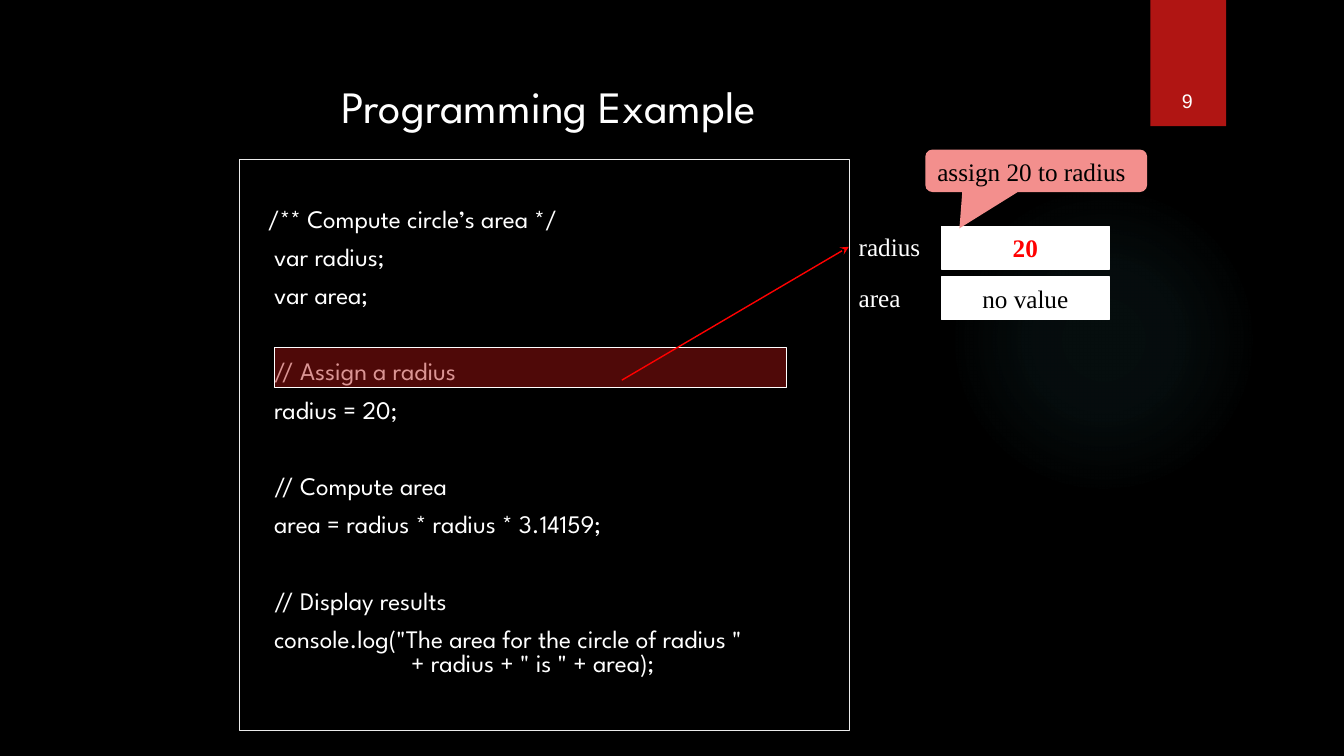
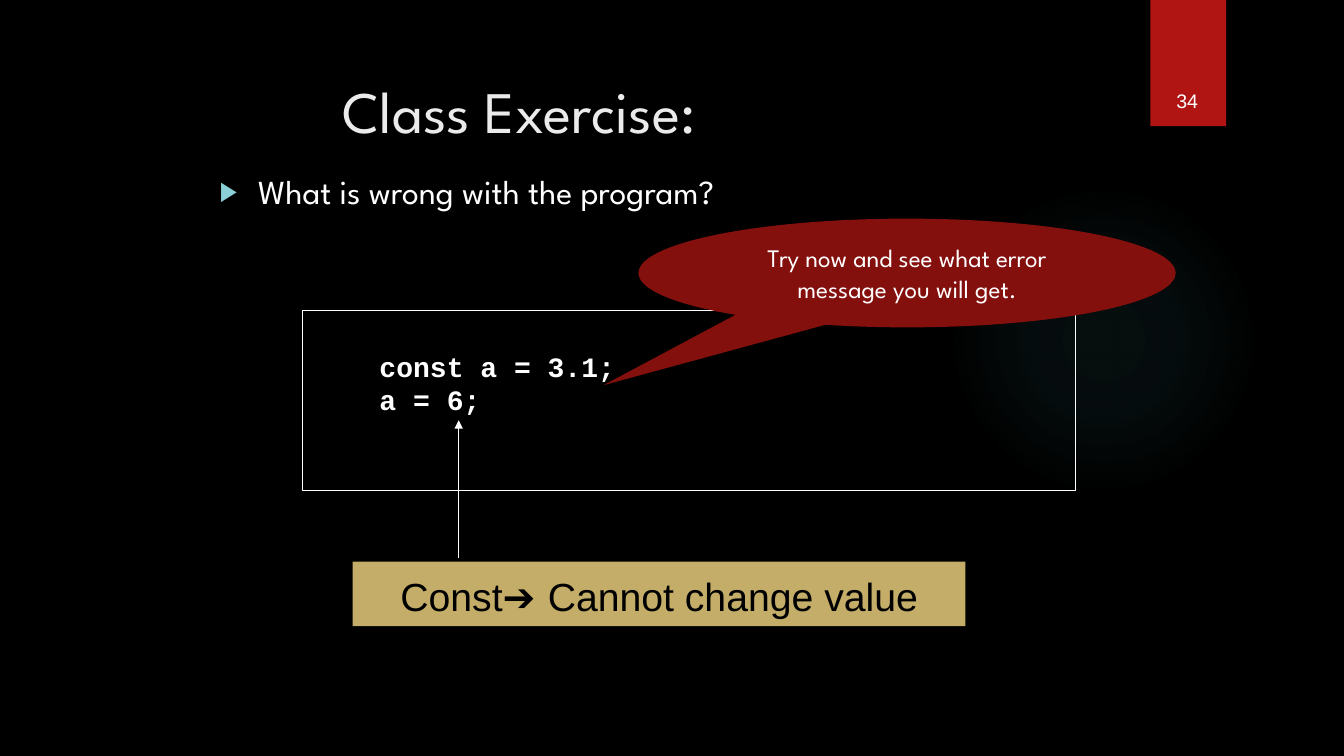
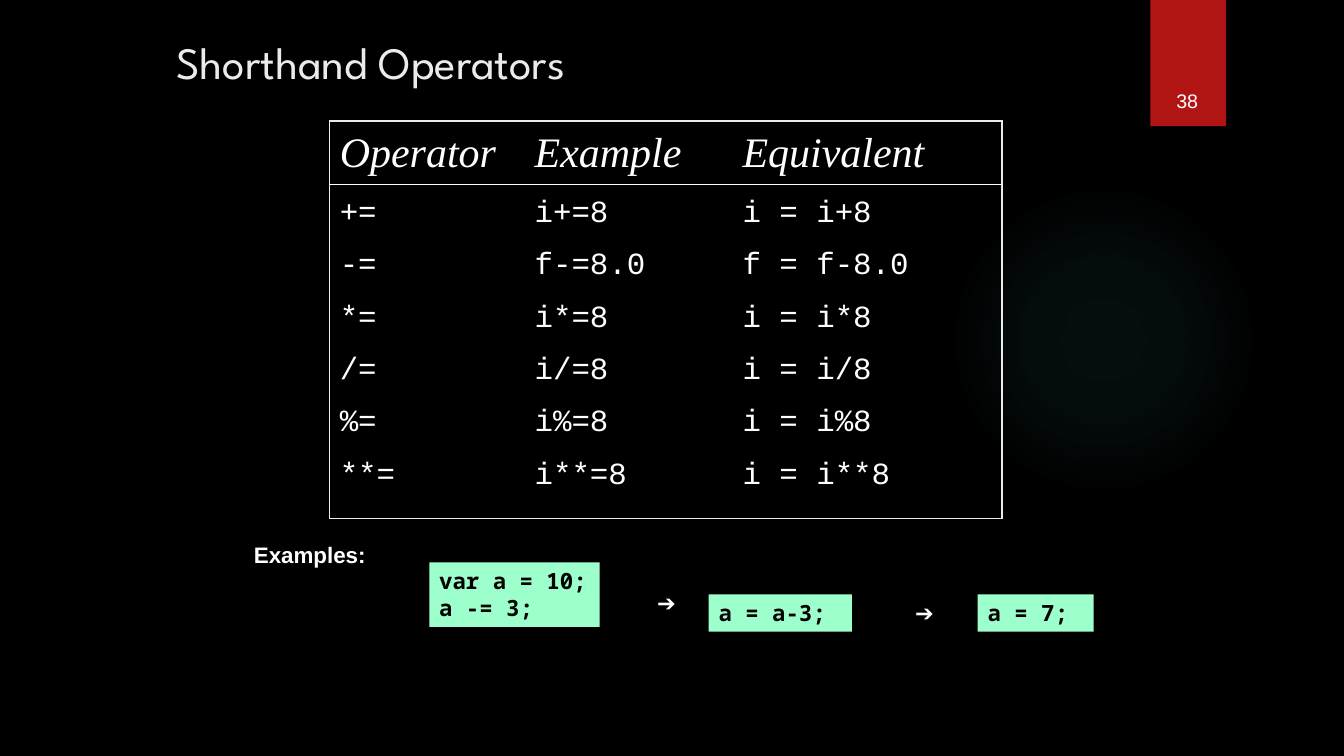
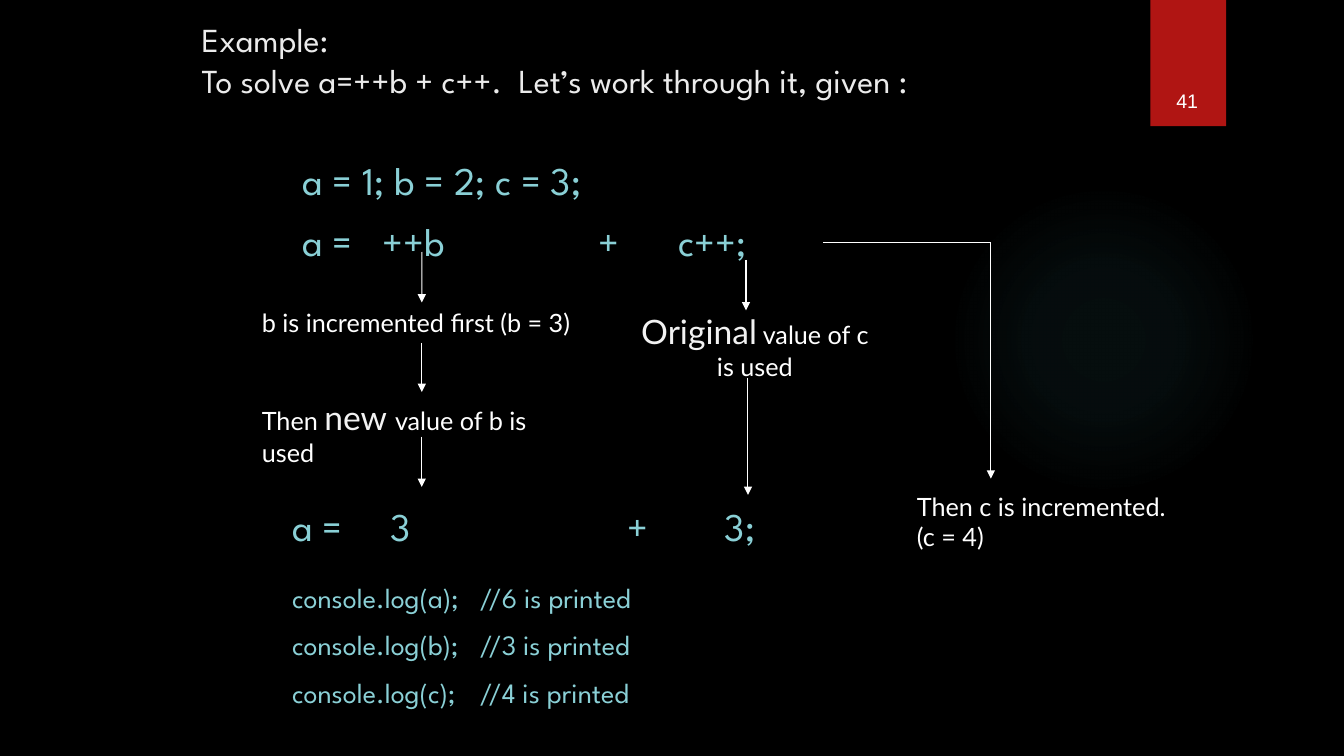
from lxml import etree
from pptx import Presentation, util as u
from pptx.dml.color import RGBColor
from pptx.enum import shapes as kinds, text as t
from pptx.oxml import parse_xml
from pptx.oxml.ns import nsdecls, qn

Cm, Pt = u.Cm, u.Pt
Shape = kinds.MSO_SHAPE
TOP, MIDDLE, BOTTOM = t.MSO_ANCHOR.TOP, t.MSO_ANCHOR.MIDDLE, t.MSO_ANCHOR.BOTTOM
LEFT, CENTER = t.PP_ALIGN.LEFT, t.PP_ALIGN.CENTER

WHITE, BLACK, PALE, SOFT = "FFFFFF", "000000", "EBEBEB", "F2F2F2"
RED, BRIGHT_RED, DARK_RED, PINK = "B01513", "FF0000", "84100E", "F38F8D"
AQUA, GLOW, MINT, GOLD = "8AD0D6", "50B9C1", "9DFFCB", "F0D47F"
HEADING, SERIF, SANS = "League Spartan", "Times New Roman", "Arial"
HUMAN, CODE, MONO = "Lato", "Courier New", "Noto Sans Mono"


# ---- Shared helpers ----
def color(value):
    return RGBColor.from_string(value)


def lengths(values):
    return [Cm(value) for value in values]


def child(parent, tag, **attributes):
    return etree.SubElement(parent, qn(tag), attributes)


def style_font(font, name=None, size=None, ink=None, bold=None, italic=None):
    if name:
        font.name = name
    if size:
        font.size = Pt(size)
    if ink:
        font.color.rgb = color(ink)
    font.bold, font.italic = bold, italic


def write(frame, lines, name, size, ink, align=LEFT, anchor=TOP, wrap=True,
          before=0, spacing=None, bullet=None, **style):
    """Fill a text frame; a line is a string or a list of (text, size, ink) spans."""
    frame.word_wrap = wrap
    frame.auto_size = t.MSO_AUTO_SIZE.NONE
    frame.vertical_anchor = anchor
    for index, line in enumerate(lines):
        para = frame.paragraphs[0] if index == 0 else frame.add_paragraph()
        para.alignment = align
        para.space_before = Pt(before if index else 0)
        if spacing:
            para.line_spacing = spacing
        mark_paragraph(para, bullet)
        style_font(para.font, name, size, ink, **style)
        if isinstance(line, str):
            para.text = line
            continue
        for words, span_size, span_ink in line:
            span = para.add_run()
            span.text = words
            style_font(span.font, size=span_size, ink=span_ink)


def mark_paragraph(para, bullet):
    """Set the hanging bullet, or none."""
    props = para._p.get_or_add_pPr()
    hang = Cm(0.97) if bullet else 0
    props.set("marL", str(hang))
    props.set("indent", str(-hang))
    if bullet:
        child(child(props, "a:buClr"), "a:srgbClr", val=AQUA)
        child(props, "a:buSzPct", val="80000")
        child(props, "a:buChar", char=bullet)
    else:
        child(props, "a:buNone")


def add_box(page, box, fill=None, line=None, width=1, kind=Shape.RECTANGLE,
            opacity=None, adjust=()):
    shape = page.shapes.add_shape(kind, *lengths(box))
    shape.shadow.inherit = False
    for index, value in enumerate(adjust):
        shape.adjustments[index] = value
    if fill:
        shape.fill.solid()
        shape.fill.fore_color.rgb = color(fill)
        if opacity:
            tint = shape.element.spPr.find(qn("a:solidFill"))[0]
            child(tint, "a:alpha", val=str(opacity * 1000))
    else:
        shape.fill.background()
    if line:
        shape.line.color.rgb = color(line)
        shape.line.width = Pt(width)
    else:
        shape.line.fill.background()
    return shape


def add_label(page, box, lines, name, size, ink=WHITE, **options):
    label = page.shapes.add_textbox(*lengths(box))
    write(label.text_frame, lines, name, size, ink, **options)
    return label


def add_line(page, start, end, ink=WHITE, width=0.75, head=None):
    line = page.shapes.add_connector(kinds.MSO_CONNECTOR.STRAIGHT,
                                     *lengths(start + end))
    line.line.color.rgb = color(ink)
    line.line.width = Pt(width)
    if head:
        child(line.line._get_or_add_ln(), "a:tailEnd", type=head)
    child(line.element.spPr, "a:effectLst")
    return line


def place(holder, box):
    holder.left, holder.top, holder.width, holder.height = lengths(box)
    return holder.text_frame


# ---- Master and page frame ----
def build_master(deck, page):
    """Draw the backdrop once and hand it to the master."""
    master = deck.slide_master
    master.background.fill.solid()
    master.background.fill.fore_color.rgb = color(BLACK)
    glow = add_box(page, (23.9, 4.65, 7.82, 7.82), kind=Shape.OVAL)
    stops = "".join(
        f'<a:gs pos="{place_at}000"><a:srgbClr val="{GLOW}">'
        f'<a:alpha val="{alpha}000"/></a:srgbClr></a:gs>'
        for place_at, alpha in ((0, 7), (36, 6), (69, 0)))
    gradient = parse_xml(
        f'<a:gradFill {nsdecls("a")}><a:gsLst>{stops}</a:gsLst><a:path path="circle">'
        '<a:fillToRect l="50000" t="50000" r="50000" b="50000"/></a:path></a:gradFill>')
    props = glow.element.spPr
    props.replace(props.find(qn("a:noFill")), gradient)
    band = add_box(page, (28.99, 0, 1.91, 3.18), RED)
    for shape in (glow, band):
        master.shapes.element.append(shape.element)


def add_page(deck, layout, number, title, box, size, ink=PALE):
    page = deck.slides.add_slide(deck.slide_layouts[layout])
    write(place(page.shapes.title, box), [title], HEADING, size, ink)
    add_label(page, (28.75, 0.82, 2.34, 2.13), [number], SANS, 14,
              align=CENTER, anchor=BOTTOM)
    return page


# ---- Programming example ----
def add_code_panel(page, box):
    left, top, _, _ = box
    panel = add_box(page, box, BLACK, PALE, 0.75)
    frame = panel.text_frame
    frame.margin_top = Cm(1.25)
    write(frame, [
        "   /** Compute circle’s area */",
        "    var radius;",
        "    var area;",
        "    // Assign a radius",
        "    radius = 20;",
        "    // Compute area",
        "    area = radius * radius * 3.14159;",
        "    // Display results",
        '    console.log("The area for the circle of radius "',
        '                          + radius + " is " + area);',
    ], HEADING, 18, WHITE, before=10, spacing=0.8)
    for para in frame.paragraphs[3:8:2]:
        para.space_before = Pt(37.3)
    frame.paragraphs[-1].space_before = Pt(0)
    add_box(page, (left + 0.89, top + 4.75, 12.9, 0.99), RED, WHITE, 0.25, opacity=45)


def add_memory(page, left, top):
    """Draw the variables with their values; return the label of the first."""
    labels = []
    for row, (name, value, ink, bold) in enumerate((
            ("radius", "20", BRIGHT_RED, True), ("area", "no value", BLACK, False))):
        y = top + 1.27 * row
        labels.append(add_label(page, (left, y, 2.34, 1.02), [name], SERIF, 18))
        cell = add_box(page, (left + 2.33, y, 4.24, 1.07), WHITE, WHITE)
        write(cell.text_frame, [value], SERIF, 18, ink, align=CENTER,
              anchor=MIDDLE, wrap=False, bold=bold)
    callout = add_box(page, (left + 1.93, top - 1.94, 5.59, 1.07), PINK,
                      kind=Shape.ROUNDED_RECTANGULAR_CALLOUT,
                      adjust=(-0.346, 1.355, 0.167))
    write(callout.text_frame, ["assign 20 to radius"], SERIF, 18, BLACK)
    return labels[0]


def fill_programming(page):
    radius = add_memory(page, 21.39, 5.71)
    add_code_panel(page, (6.03, 4.01, 15.37, 14.4))
    pointer = add_line(page, (15.67, 9.58), (21.39, 6.22), BRIGHT_RED, 1, "stealth")
    pointer.end_connect(radius, 1)


# ---- Class exercise ----
def add_constant_code(page, box):
    left, top, width, height = box
    frame = add_box(page, box, line=WHITE, width=0.75).text_frame
    frame.margin_top = Cm(0.98)
    write(frame, ["    const a = 3.1;", "    a = 6;"], CODE, 20, WHITE, bold=True)
    note_top = top + height + 1.8
    add_line(page, (left + 3.94, note_top - 0.08), (left + 3.94, top + 2.77),
             head="triangle")
    note = add_box(page, (left + 1.27, note_top, 15.44, 1.63), GOLD, opacity=82)
    write(note.text_frame,
          [[("Const➔", 28, BLACK), (" ", 32, BLACK), ("Cannot change value", 28, BLACK)]],
          SANS, 28, BLACK, align=CENTER)
    callout = add_box(page, (left + 8.47, top - 2.31, 13.54, 2.74), DARK_RED,
                      kind=Shape.OVAL_CALLOUT, adjust=(-0.565, 1.032))
    write(callout.text_frame, ["Try now and see what error message you will get."],
          HEADING, 18, WHITE, align=CENTER, anchor=MIDDLE)


def fill_exercise(page):
    write(place(page.placeholders[1], (5.28, 4.19, 23.29, 11.28)),
          ["What is wrong with the program?"], HEADING, 24, WHITE, bullet="▶")
    add_constant_code(page, (7.62, 7.82, 19.48, 4.53))


# ---- Shorthand operators ----
def set_borders(cell, sides):
    """Draw the given sides (L, R, T, B) and clear the others."""
    props = cell._tc.get_or_add_tcPr()
    for side in "LRTB":
        ink, width = sides.get(side, (None, 0))
        line = child(props, f"a:ln{side}", w=str(Pt(width)))
        if ink:
            child(child(line, "a:solidFill"), "a:srgbClr", val=ink)
        else:
            child(line, "a:noFill")


def add_operator_table(page, box):
    rows = [("Operator", "Example", "Equivalent"),
            ("+=", "i+=8", "i = i+8"),
            ("-=", "f-=8.0", "f = f-8.0"),
            ("*=", "i*=8", "i = i*8"),
            ("/=", "i/=8", "i = i/8"),
            ("%=", "i%=8", "i = i%8"),
            ("**=", "i**=8", "i = i**8")]
    edge, rule = (PALE, 1), (WHITE, 0.75)
    last = len(rows) - 1
    table = page.shapes.add_table(len(rows), 3, *lengths(box)).table
    table.first_row = table.horz_banding = False
    for column, width in zip(table.columns, (4.91, 5.24, 6.79)):
        column.width = Cm(width)
    for r, words in enumerate(rows):
        table.rows[r].height = Cm({0: 1.6, last: 1.81}.get(r, 1.32))
        for c, word in enumerate(words):
            cell = table.cell(r, c)
            sides = {}
            if c == 0:
                sides["L"] = edge
            if c == 2:
                sides["R"] = edge
            if r < 2:
                sides["T"] = rule if r else edge
            if r in (0, last):
                sides["B"] = edge if r else rule
            set_borders(cell, sides)
            cell.fill.background()
            cell.margin_top, cell.margin_bottom = Cm(0.31 if r else 0.22), 0
            cell.vertical_anchor = TOP
            para = cell.text_frame.paragraphs[0]
            para.text = word
            if r:
                style_font(para.font, CODE, 22, WHITE, bold=False)
            else:
                style_font(para.font, SERIF, 30, WHITE, bold=False, italic=True)


def add_examples(page, left, top):
    add_label(page, (left, top, 3.35, 0.94), ["Examples:"], SANS, 16,
              wrap=False, bold=True)
    for x, y, width, height, lines in (
            (4.67, 0.66, 4.29, 1.63, ["var a = 10;", "a -= 3;"]),
            (11.71, 1.47, 3.61, 0.94, ["a = a-3;"]),
            (18.49, 1.47, 2.92, 0.94, ["a = 7;"])):
        step = add_box(page, (left + x, top + y, width, height), MINT)
        write(step.text_frame, lines, MONO, 16, BLACK, wrap=False, bold=True)
    for x, y in ((10.16, 1.2), (16.66, 1.47)):
        add_label(page, (left + x, top + y, 1.12, 0.94), ["➔"], SANS, 16, wrap=False)


def fill_operators(page):
    add_operator_table(page, (8.31, 3.05, 16.94, 10.01))
    add_examples(page, 6.15, 13.51)


# ---- Increment example ----
def add_expression(page, left, top, terms):
    """Set the terms of an expression in one row, each at its own offset."""
    for offset, term in terms:
        add_label(page, (left + offset, top, 3, 1.5), [term], HEADING, 28, AQUA,
                  wrap=False)


def add_b_steps(page, left, top):
    """Draw how b is worked out, down one axis."""
    width = 8.56
    axis = left + width / 2
    first = add_label(page, (left, top, width, 1.02),
                      ["b is incremented first (b = 3)"], HUMAN, 18)
    second = add_label(page, (left, top + 2.26, width, 2.06),
                       [[("Then ", 18, WHITE), ("new ", 24, SOFT),
                         ("value of b is used", 18, WHITE)]], HUMAN, 18)
    arrows = [add_line(page, (axis, top + y), (axis, top + y + 1.27), head="triangle")
              for y in (-1.27, 1.02, 3.38)]
    arrows[0].end_connect(first, 0)
    arrows[1].begin_connect(first, 2)
    arrows[1].end_connect(second, 0)


def add_c_steps(page, left, top):
    """Draw how c is used and then incremented."""
    add_label(page, (left, top, 6.81, 2.06),
              [[("Original", 24, SOFT), (" value of c is used", 18, WHITE)]],
              HUMAN, 18, align=CENTER)
    for x, start, end in ((3.18, -1.17, 0.1), (3.23, 1.8, 4.75)):
        add_line(page, (left + x, top + start), (left + x, top + end), head="triangle")
    corner = (left + 9.35, top - 1.6)
    add_line(page, corner, (left + 5.13, corner[1]))
    add_line(page, corner, (corner[0], top + 4.34), head="triangle")
    add_label(page, (left + 7.24, top + 4.54, 6.78, 1.78),
              ["Then c is incremented. (c = 4)"], HUMAN, 18)


def add_output(page, left, top):
    """Set the print calls and, beside them, their comments."""
    results = (("a", 6), ("b", 3), ("c", 4))
    calls = [f"console.log({name});" for name, _ in results]
    comments = [f"//{value} is printed" for _, value in results]
    for offset, lines in ((0, calls), (4.73, comments)):
        add_label(page, (left + offset, top, 4.73, 4.2), lines, HEADING, 20, AQUA,
                  before=10, wrap=False)


def fill_increment(page):
    write(place(page.placeholders[1], (7.37, 3.81, 18.9, 1.5)),
          ["a = 1; b = 2; c = 3;"], HEADING, 28, AQUA)
    add_expression(page, 7.37, 5.34,
                   ((0, "a ="), (2.02, "++b"), (7.46, "+"), (9.47, "c++;")))
    add_b_steps(page, 6.35, 7.62)
    add_c_steps(page, 15.62, 7.72)
    add_expression(page, 7.11, 12.54,
                   ((0, "a ="), (2.47, "3"), (8.46, "+"), (10.91, "3;")))
    add_output(page, 7.11, 14.5)


def main():
    deck = Presentation()
    deck.slide_width, deck.slide_height = Cm(33.87), Cm(19.05)
    page = add_page(deck, 5, "9", "Programming Example",
                    (8.36, 1.85, 20.52, 1.7), 32, WHITE)
    build_master(deck, page)
    fill_programming(page)
    fill_exercise(add_page(deck, 1, "34", "Class Exercise:",
                           (8.38, 1.75, 21.59, 1.91), 42))
    fill_operators(add_page(deck, 5, "38", "Shorthand Operators",
                            (4.19, 0.75, 21.59, 1.83), 32))
    fill_increment(add_page(
        deck, 1, "41",
        "Example:\vTo solve a=++b + c++.  Let’s work through it, given :",
        (4.83, 0.36, 23.55, 3.2), 24))
    deck.save("out.pptx")


if __name__ == "__main__":
    main()
